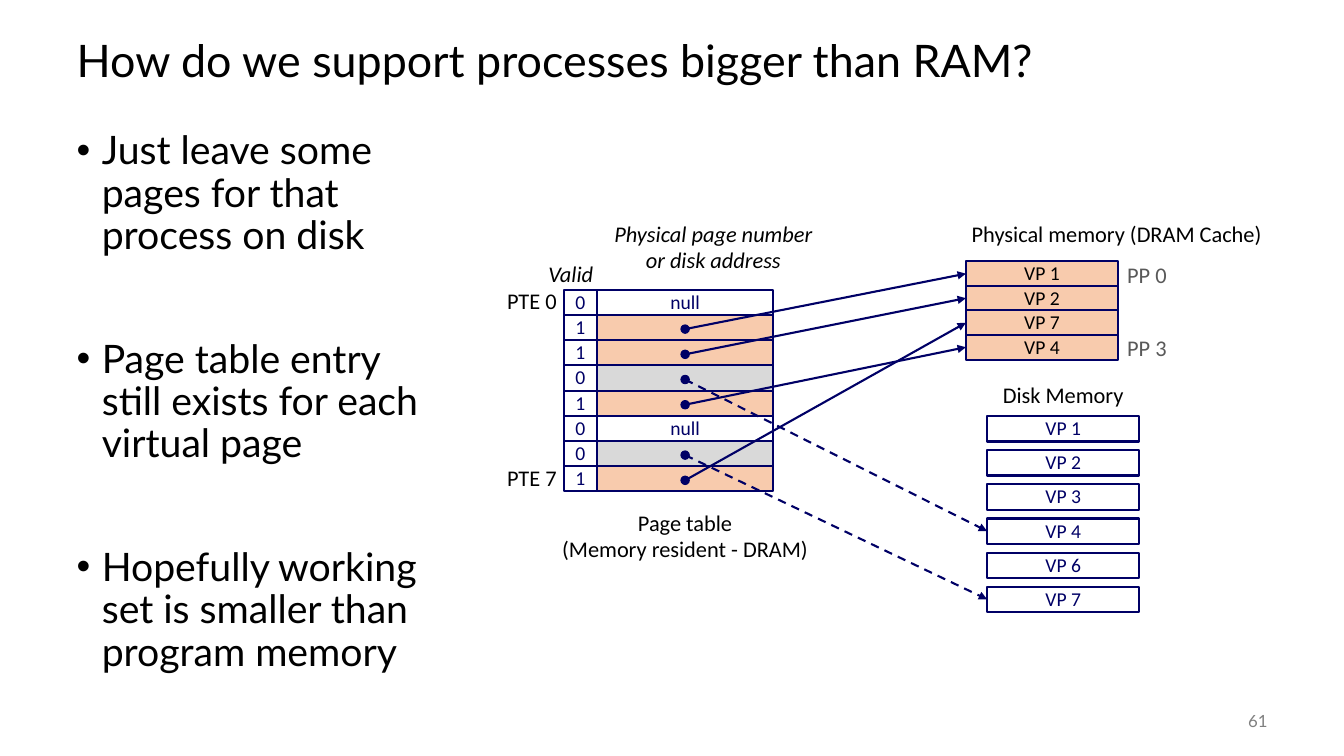
from dataclasses import dataclass

from lxml import etree
from pptx import Presentation
from pptx import util as u
from pptx.dml.color import RGBColor
from pptx.enum import dml, shapes, text
from pptx.oxml import ns

CELL = u.Inches(0.25)  # every length below counts cells of this square grid


@dataclass(frozen=True)
class Theme:
    ink: str = "000000"
    navy: str = "000066"
    resident: str = "F8CBAD"
    on_disk: str = "D9D9D9"
    empty: str = "FFFFFF"
    frame_label: str = "595959"
    number: str = "808080"
    heading_font: str = "Lato"
    diagram_font: str = "Calibri"
    title_size: int = 32
    body_size: int = 28
    label_size: int = 16
    cell_size: int = 14
    number_size: int = 12
    line_width: float = 1.5


@dataclass(frozen=True)
class Box:
    left: float
    top: float
    width: float
    height: float

    def inner(self, column, row, width, height):
        return Box(self.left + column, self.top + row, width, height)

    def emu(self):
        return [round(n * CELL) for n in (self.left, self.top, self.width, self.height)]


THEME = Theme()
ALIGN = text.PP_ALIGN

BULLETS = [
    "Just leave some pages for that process on disk",
    "Page table entry still exists for each virtual page",
    "Hopefully working set is smaller than program memory",
]
# valid bit, fill, text; an entry without text holds a pointer
PAGE_TABLE = [
    ("0", THEME.empty, "null"),
    ("1", THEME.resident, ""),
    ("1", THEME.resident, ""),
    ("0", THEME.on_disk, ""),
    ("1", THEME.resident, ""),
    ("0", THEME.empty, "null"),
    ("0", THEME.on_disk, ""),
    ("1", THEME.resident, ""),
]
PHYSICAL_PAGES = ["VP 1", "VP 2", "VP 7", "VP 4"]
DISK_PAGES = ["VP 1", "VP 2", "VP 3", "VP 4", "VP 6", "VP 7"]
# page table row -> page it points to
RESIDENT_POINTERS = {1: "VP 1", 2: "VP 2", 4: "VP 4", 7: "VP 7"}
DISK_POINTERS = {3: "VP 4", 6: "VP 7"}


def style_text(paragraph, size, color, font, align=ALIGN.LEFT, spacing=1.0, italic=False):
    paragraph.alignment = align
    paragraph.line_spacing = spacing
    for run in paragraph.runs:
        run.font.size = u.Pt(size)
        run.font.name = font
        run.font.italic = italic
        run.font.color.rgb = RGBColor.from_string(color)


def add_label(slide, box, words, align=ALIGN.CENTER, color=THEME.ink, italic=False):
    label = slide.shapes.add_textbox(*box.emu())
    label.text_frame.word_wrap = False
    label.text_frame.vertical_anchor = text.MSO_ANCHOR.MIDDLE
    paragraph = label.text_frame.paragraphs[0]
    paragraph.text = words
    style_text(paragraph, THEME.label_size, color, THEME.diagram_font, align, 0.98, italic)


def add_cell(slide, box, words="", fill=None, color=THEME.navy):
    cell = slide.shapes.add_shape(shapes.MSO_SHAPE.RECTANGLE, *box.emu())
    cell.shadow.inherit = False
    if fill:
        cell.fill.solid()
        cell.fill.fore_color.rgb = RGBColor.from_string(fill)
    else:
        cell.fill.background()
    cell.line.color.rgb = RGBColor.from_string(THEME.navy)
    cell.line.width = u.Pt(THEME.line_width)
    if words:
        cell.text_frame.word_wrap = False
        cell.text_frame.vertical_anchor = text.MSO_ANCHOR.MIDDLE
        paragraph = cell.text_frame.paragraphs[0]
        paragraph.text = words
        style_text(paragraph, THEME.cell_size, color, THEME.diagram_font, ALIGN.CENTER, 0.98)
    return cell


def add_dot(slide, box):
    dot = slide.shapes.add_shape(shapes.MSO_SHAPE.OVAL, *box.emu())
    dot.shadow.inherit = False
    dot.fill.solid()
    dot.fill.fore_color.rgb = RGBColor.from_string(THEME.navy)
    dot.line.color.rgb = RGBColor.from_string(THEME.navy)
    dot.line.width = u.Pt(1)
    return dot


def add_pointer(slide, dot, page, dashed=False):
    """Arrow from the centre of a dot to the left side of a page."""
    x, y = dot.left + dot.width // 2, dot.top + dot.height // 2
    arrow = slide.shapes.add_connector(shapes.MSO_CONNECTOR.STRAIGHT, x, y, x, y)
    arrow.end_connect(page, 1)
    arrow.line.color.rgb = RGBColor.from_string(THEME.navy)
    arrow.line.width = u.Pt(THEME.line_width)
    if dashed:
        arrow.line.dash_style = dml.MSO_LINE.DASH
    properties = arrow._element.spPr
    etree.SubElement(properties.find(ns.qn("a:ln")), ns.qn("a:tailEnd"), type="triangle")
    etree.SubElement(properties, ns.qn("a:effectLst"))


def fill_title(title, box, words):
    title.left, title.top, title.width, title.height = box.emu()
    title.text_frame.text = words
    title.text_frame.auto_size = text.MSO_AUTO_SIZE.NONE
    title.text_frame.vertical_anchor = text.MSO_ANCHOR.MIDDLE
    style_text(title.text_frame.paragraphs[0], THEME.title_size, THEME.ink,
               THEME.heading_font, spacing=0.9)


def fill_body(body, box, bullets):
    body.left, body.top, body.width, body.height = box.emu()
    body.text_frame.text = "\n".join(bullets)
    body.text_frame.auto_size = text.MSO_AUTO_SIZE.NONE
    for index, paragraph in enumerate(body.text_frame.paragraphs):
        properties = paragraph._p.get_or_add_pPr()
        properties.set("marL", str(CELL))
        properties.set("indent", str(-CELL))
        etree.SubElement(properties, ns.qn("a:buFont"), typeface="Arial")
        etree.SubElement(properties, ns.qn("a:buChar"), char="•")
        paragraph.space_before = u.Pt(58 if index else 0)
        style_text(paragraph, THEME.body_size, THEME.ink, THEME.heading_font, spacing=0.9)


def add_slide_number(slide, box, number):
    label = slide.shapes.add_textbox(*box.emu())
    label.text_frame.word_wrap = True
    label.text_frame.vertical_anchor = text.MSO_ANCHOR.MIDDLE
    label.text_frame.text = number
    style_text(label.text_frame.paragraphs[0], THEME.number_size, THEME.number,
               THEME.heading_font, ALIGN.RIGHT)


def add_page_table(slide, box):
    """Draw the table and return its pointer dots by row."""
    bit_width, dot_size = 1.32, 0.32
    entry_width = box.width - bit_width
    dots = {}
    for row, (valid, fill, words) in enumerate(PAGE_TABLE):
        add_cell(slide, box.inner(bit_width, row, entry_width, 1), words, fill)
        add_cell(slide, box.inner(0, row, bit_width, 1), valid)
        if not words:
            dot_left = bit_width + (entry_width - dot_size) / 2
            dots[row] = add_dot(slide, box.inner(dot_left, row + 0.4, dot_size, dot_size))
    for row in (0, len(PAGE_TABLE) - 1):
        add_label(slide, box.inner(-2.68, row - 0.26, 2.8, 1.48), f"PTE {row}", ALIGN.RIGHT)
    add_label(slide, box.inner(-1, -1.34, 3, 1.48), "Valid", ALIGN.LEFT, italic=True)
    add_label(slide, box.inner(1.6, -2.94, 8.68, 2.52),
              "Physical page number\vor disk address", italic=True)
    add_label(slide, box.inner(-0.64, 8.54, 10.92, 2.52),
              "Page table\v(Memory resident - DRAM)")
    return dots


def add_pages(slide, box, names, fill, color):
    """Spread pages one row high evenly over the box; return them by name."""
    pitch = (box.height - 1) / (len(names) - 1)
    return {name: add_cell(slide, box.inner(0, index * pitch, box.width, 1), name, fill, color)
            for index, name in enumerate(names)}


def add_physical_memory(slide, box):
    add_label(slide, box.inner(-0.4, -1.8, 12.76, 1.48), "Physical memory (DRAM Cache)")
    for words, row in (("PP 0", 0), ("PP 3", box.height - 1)):
        add_label(slide, box.inner(box.width - 0.06, row - 0.17, 2.4, 1.48), words,
                  color=THEME.frame_label)
    return add_pages(slide, box, PHYSICAL_PAGES, THEME.resident, THEME.ink)


def add_disk(slide, box):
    add_label(slide, box.inner(0.2, -1.56, 5.64, 1.48), "Disk Memory")
    return add_pages(slide, box, DISK_PAGES, THEME.empty, THEME.navy)


def main():
    presentation = Presentation()
    presentation.slide_width, presentation.slide_height = u.Inches(13.33), u.Inches(7.5)
    slide = presentation.slides.add_slide(presentation.slide_layouts[1])
    fill_title(slide.shapes.title, Box(2.64, 1, 48, 3),
               "How do we support processes bigger than RAM?")
    fill_body(slide.placeholders[1], Box(2.64, 5, 15.44, 22), BULLETS)
    add_slide_number(slide, Box(46.68, 27.8, 4, 1.6), "61")
    dots = add_page_table(slide, Box(22.36, 11.5, 8.32, 8))
    frames = add_physical_memory(slide, Box(38.32, 10.36, 6.04, 3.92))
    disk_pages = add_disk(slide, Box(39.16, 16.52, 6.04, 7.76))
    for row, name in RESIDENT_POINTERS.items():
        add_pointer(slide, dots[row], frames[name])
    for row, name in DISK_POINTERS.items():
        add_pointer(slide, dots[row], disk_pages[name], dashed=True)
    presentation.save("out.pptx")


if __name__ == "__main__":
    main()
